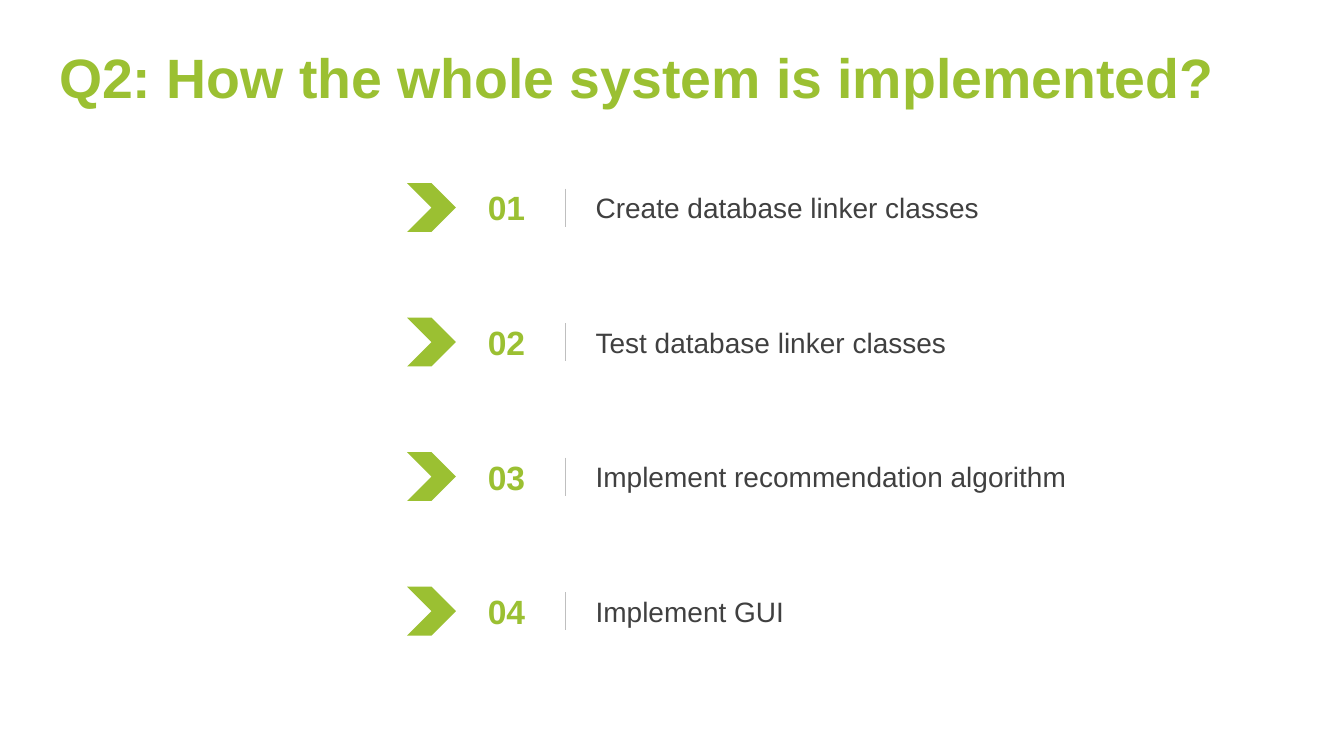
from dataclasses import dataclass

from lxml.etree import SubElement
from pptx import Presentation
from pptx.dml.color import RGBColor
from pptx.enum.shapes import MSO_CONNECTOR, MSO_SHAPE
from pptx.enum.text import MSO_ANCHOR, PP_ALIGN
from pptx.oxml.ns import qn
from pptx.slide import Slide
from pptx.util import Cm, Pt

GREEN = "9BC032"
DARK_GRAY = "404040"
LIGHT_GRAY = "BFBFBF"

FIRST_ROW_TOP = 4.02
ROW_PITCH = 3.39
ROW_HEIGHT = 2.42
CHEVRON_SIZE = 1.23
DIVIDER_LEFT = 14.25
DIVIDER_LENGTH = 0.96


@dataclass(frozen=True)
class Box:
    """A rectangle in centimetres."""
    left: float
    top: float
    width: float
    height: float


@dataclass(frozen=True)
class TextStyle:
    size: float
    color: str
    bold: bool = False
    align: PP_ALIGN = PP_ALIGN.LEFT


@dataclass(frozen=True)
class Step:
    number: str
    task: str


TITLE_STYLE = TextStyle(39.6, GREEN, bold=True)
NUMBER_STYLE = TextStyle(24, GREEN, bold=True, align=PP_ALIGN.CENTER)
TASK_STYLE = TextStyle(20, DARK_GRAY)

STEPS = [
    Step("01", "Create database linker classes"),
    Step("02", "Test database linker classes"),
    Step("03", "Implement recommendation algorithm"),
    Step("04", "Implement GUI"),
]


def rgb(color: str) -> RGBColor:
    return RGBColor.from_string(color)


def add_text(slide: Slide, box: Box, text: str, style: TextStyle) -> None:
    label = slide.shapes.add_textbox(
        Cm(box.left), Cm(box.top), Cm(box.width), Cm(box.height))
    frame = label.text_frame
    frame.word_wrap = True
    frame.vertical_anchor = MSO_ANCHOR.MIDDLE
    paragraph = frame.paragraphs[0]
    paragraph.text = text
    paragraph.alignment = style.align
    paragraph.font.name = "Arial"
    paragraph.font.size = Pt(style.size)
    paragraph.font.bold = style.bold
    paragraph.font.color.rgb = rgb(style.color)


def add_divider(slide: Slide, top: float) -> None:
    divider = slide.shapes.add_connector(
        MSO_CONNECTOR.STRAIGHT, Cm(DIVIDER_LEFT), Cm(top),
        Cm(DIVIDER_LEFT), Cm(top + DIVIDER_LENGTH))
    divider.line.color.rgb = rgb(LIGHT_GRAY)
    divider.line.width = Pt(0.5)
    SubElement(divider._element.spPr, qn("a:effectLst"))


def add_chevron(slide: Slide, top: float) -> None:
    chevron = slide.shapes.add_shape(
        MSO_SHAPE.CHEVRON, Cm(10.26), Cm(top),
        Cm(CHEVRON_SIZE), Cm(CHEVRON_SIZE))
    chevron.shadow.inherit = False
    chevron.fill.solid()
    chevron.fill.fore_color.rgb = rgb(GREEN)
    chevron.line.fill.background()


def add_step(slide: Slide, step: Step, top: float) -> None:
    middle = top + ROW_HEIGHT / 2
    add_text(slide, Box(11.48, top, 2.57, ROW_HEIGHT), step.number, NUMBER_STYLE)
    add_divider(slide, middle - DIVIDER_LENGTH / 2)
    add_text(slide, Box(14.76, top, 13.41, ROW_HEIGHT), step.task, TASK_STYLE)
    add_chevron(slide, middle - CHEVRON_SIZE / 2)


def main() -> None:
    presentation = Presentation()
    presentation.slide_width = Cm(33.87)
    presentation.slide_height = Cm(19.05)
    slide = presentation.slides.add_slide(presentation.slide_layouts[6])
    for row, step in enumerate(STEPS):
        add_step(slide, step, FIRST_ROW_TOP + row * ROW_PITCH)
    add_text(slide, Box(1.24, 0.64, 31.37, 2.57),
             "Q2: How the whole system is implemented?", TITLE_STYLE)
    presentation.save("out.pptx")


if __name__ == "__main__":
    main()
